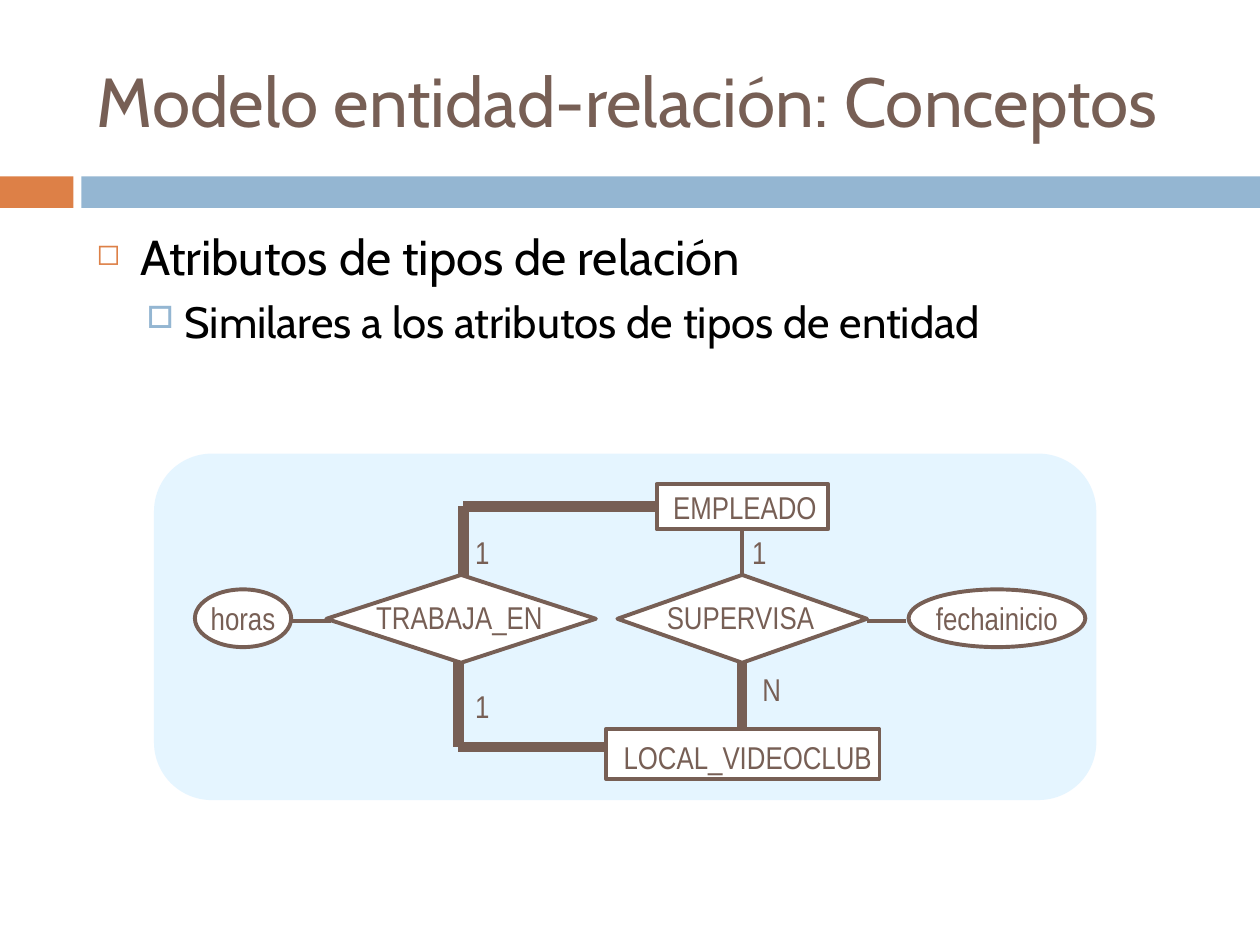
from lxml import etree
from pptx import Presentation
from pptx.dml.color import RGBColor
from pptx.enum.shapes import MSO_CONNECTOR, MSO_SHAPE
from pptx.enum.text import MSO_ANCHOR, MSO_AUTO_SIZE, PP_ALIGN
from pptx.oxml.ns import qn
from pptx.util import Pt

LINE = MSO_CONNECTOR.STRAIGHT
RECT, ROUND = MSO_SHAPE.RECTANGLE, MSO_SHAPE.ROUNDED_RECTANGLE
OVAL, RHOMB = MSO_SHAPE.OVAL, MSO_SHAPE.DIAMOND
TOP, MID = MSO_ANCHOR.TOP, MSO_ANCHOR.MIDDLE
LEFT, MIDST, JUST = PP_ALIGN.LEFT, PP_ALIGN.CENTER, PP_ALIGN.JUSTIFY
FIXED = MSO_AUTO_SIZE.NONE
BROWN, ORANGE, BLUE = "775F55", "DD8047", "94B6D2"
PALE, WHITE, BLACK = "CCECFF", "FFFFFF", "000000"


def color(text):
    """Turn a hex string into a colour."""
    return RGBColor.from_string(text)


def adjust(item, values):
    """Set each attribute of the item from a dict."""
    for name, value in values.items():
        setattr(item, name, value)


class Page:
    """Hold the style and the current slide."""

    face, thin, thick = "Arial Narrow", 2.25, 6

    def __init__(self, deck):
        """Add a title-only slide to the deck."""
        self.slide = deck.slides.add_slide(deck.slide_layouts[5])
        self.shapes = self.slide.shapes

    def font(self, para, size, name, tint):
        """Format the font of a paragraph."""
        adjust(para.font, {"size": Pt(size), "name": name, "bold": False})
        para.font.color.rgb = color(tint)

    def frame(self, shape, pads, anchor, wrap=True):
        """Format the text frame of a shape and return it."""
        sides = ("margin_left", "margin_top", "margin_right", "margin_bottom")
        frame = shape.text_frame
        adjust(frame, dict(zip(sides, map(Pt, pads))))
        adjust(frame, {"auto_size": FIXED, "word_wrap": wrap,
                       "vertical_anchor": anchor})
        return frame

    def letter(self, frame, text, align=MIDST):
        """Put one line of diagram text in a frame."""
        para = frame.paragraphs[0]
        adjust(para, {"text": text, "alignment": align})
        self.font(para, 18, self.face, BROWN)

    def title(self, text, area):
        """Place and format the slide title."""
        shape = self.shapes.title
        adjust(shape, dict(zip(("left", "top", "width", "height"), map(Pt, area))))
        para = self.frame(shape, (7.2, 3.6, 7.2, 3.6), MID).paragraphs[0]
        adjust(para, {"text": text, "alignment": LEFT})
        self.font(para, 39.6, "Cabin", BROWN)

    def points(self, area, rows):
        """Add a bulleted list."""
        box = self.shapes.add_textbox(*map(Pt, area))
        frame = self.frame(box, (7.2, 3.6, 7.2, 3.6), TOP)
        for level, (text, size, mark, tint, scale, left, hang, gap) in enumerate(rows):
            para = frame.add_paragraph() if level else frame.paragraphs[0]
            adjust(para, {"text": text, "level": level, "alignment": JUST,
                          "space_before": Pt(gap)})
            props = para._p.get_or_add_pPr()
            props.set("marL", str(Pt(left)))
            props.set("indent", str(Pt(-hang)))
            hue = etree.SubElement(props, qn("a:buClr"))
            etree.SubElement(hue, qn("a:srgbClr"), val=tint)
            etree.SubElement(props, qn("a:buSzPct"), val=str(scale * 1000))
            etree.SubElement(props, qn("a:buChar"), char=mark)
            self.font(para, size, "Cabin", BLACK)

    def block(self, kind, area, fill, alpha=100):
        """Add a filled shape with no outline."""
        shape = self.shapes.add_shape(kind, *map(Pt, area))
        shape.shadow.inherit = False
        shape.fill.solid()
        shape.fill.fore_color.rgb = color(fill)
        shape.line.fill.background()
        if alpha < 100:
            tint = shape._element.spPr.find(".//" + qn("a:srgbClr"))
            etree.SubElement(tint, qn("a:alpha"), val=str(alpha * 1000))
        return shape

    def node(self, kind, area, text="", pads=(0, 0, 0, 0), wrap=False):
        """Add an outlined diagram node."""
        shape = self.block(kind, area, WHITE)
        shape.line.color.rgb = color(BROWN)
        shape.line.width = Pt(self.thin)
        if text:
            self.letter(self.frame(shape, pads, MID, wrap), text)

    def label(self, area, text, align=MIDST, pads=(0, 3.6, 0, 0.72),
              anchor=TOP, wrap=True):
        """Add a diagram label."""
        box = self.shapes.add_textbox(*map(Pt, area))
        self.letter(self.frame(box, pads, anchor, wrap), text, align)

    def wire(self, ends, width):
        """Add a straight line between two points."""
        line = self.shapes.add_connector(LINE, *map(Pt, ends))
        line.line.color.rgb = color(BROWN)
        line.line.width = Pt(width)
        etree.SubElement(line._element.spPr, qn("a:effectLst"))


def main():
    """Build the slide and save it."""
    deck = Presentation()
    adjust(deck, {"slide_width": Pt(720), "slide_height": Pt(540)})
    page = Page(deck)
    page.block(RECT, (0, 100.8, 42, 18), ORANGE)
    page.block(RECT, (46.5, 100.8, 673.5, 18), BLUE)
    page.title("Modelo entidad-relación: Conceptos", (48, 18, 642, 78))
    page.points((48, 126, 642, 388), [
        ("Atributos de tipos de relación", 28, "◻", ORANGE, 60, 25.2, 25.2, 0),
        ("Similares a los atributos de tipos de entidad", 25, "□", BLUE, 70,
         50.4, 21.6, 5.5)])

    page.block(ROUND, (88, 259.2, 538.5, 198), PALE, 50)
    page.node(RECT, (375.2, 276.5, 98, 26), "EMPLEADO", (5.76, 0.72, 2.88, 0.72), True)
    page.node(RECT, (346.2, 416.7, 156.4, 28.4), "LOCAL_VIDEOCLUB",
              (5.76, 3.6, 0, 0.72), True)

    for ends in ((424, 373, 424, 415.4), (262, 373, 262, 427),
                 (264.8, 331.2, 264.8, 289.4), (264.8, 289.4, 376.5, 289.4),
                 (262, 427, 345.6, 427)):
        page.wire(ends, page.thick)
    for ends in ((424, 331.2, 424, 301), (167, 354.8, 189.4, 354.8),
                 (495.4, 354.8, 517.7, 354.8)):
        page.wire(ends, page.thin)

    for left, wide, text in ((186.5, 154, "TRABAJA_EN"), (352.8, 142.6, "SUPERVISA")):
        page.node(RHOMB, (left, 328.5, wide, 50.2))
        page.label((left + 20, 338.4, wide - 42, 28.8), text,
                   pads=(7.2, 3.6, 7.2, 3.6), wrap=False)
    for left, wide, text in ((111.4, 55, "horas"), (519.2, 101, "fechainicio")):
        page.node(OVAL, (left, 336.8, wide, 33), text)

    for left, top, text, align, anchor in (
            (429.8, 301, "1", LEFT, TOP), (435.6, 379.4, "N", LEFT, TOP),
            (259.2, 301, "1", MIDST, MID), (259.2, 388.8, "1", MIDST, TOP)):
        page.label((left, top, 33, 26), text, align, anchor=anchor)
    deck.save("out.pptx")


if __name__ == "__main__":
    main()
